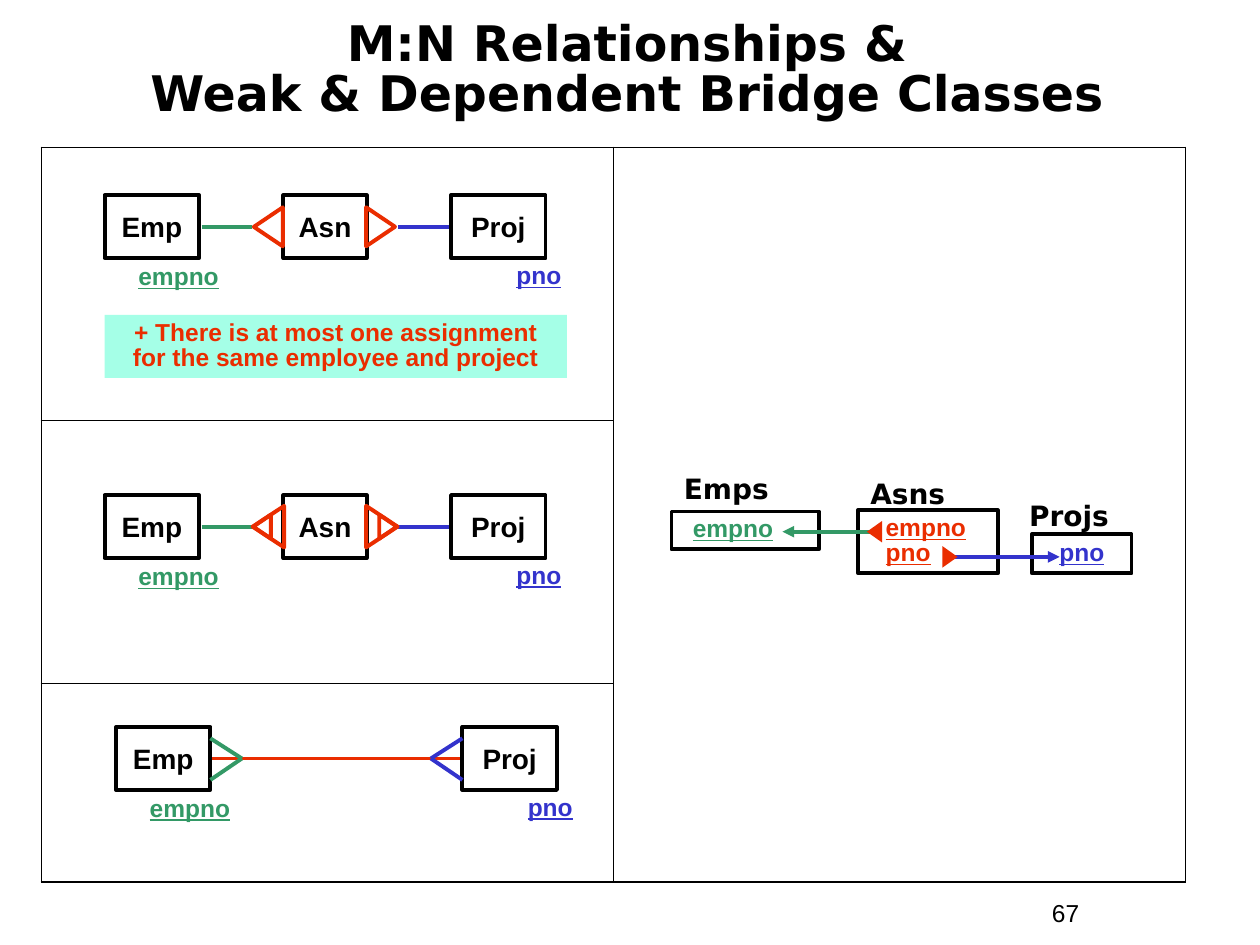
from lxml import etree
from pptx import Presentation
from pptx.dml.color import RGBColor
from pptx.enum import shapes, text
from pptx.oxml import ns
from pptx.util import Inches, Pt

THEME = {
    "black": RGBColor.from_string("000000"),
    "red": RGBColor.from_string("EA2D00"),
    "green": RGBColor.from_string("339966"),
    "blue": RGBColor.from_string("3333CC"),
    "mint": RGBColor.from_string("A5FFE7"),
    "title": {"name": "DejaVu Sans", "size": Pt(28), "bold": True},
    "head": {"name": "DejaVu Sans", "size": Pt(16), "bold": True},
    "class": {"name": "Arial", "size": Pt(16), "bold": True},
    "key": {"name": "Arial", "size": Pt(14), "bold": True, "underline": True},
    "note": {"name": "Arial", "size": Pt(14), "bold": True},
    "page": {"name": "Arial", "size": Pt(14)},
    "line": Pt(2.25),
}
CENTER = text.PP_ALIGN.CENTER
MIDDLE = text.MSO_ANCHOR.MIDDLE

deck = Presentation()
deck.slide_width, deck.slide_height = Inches(10), Inches(7.5)
slide = deck.slides.add_slide(deck.slide_layouts[6])


def box(area, words, style, color="black", frame=False, fill=None,
        align=None, anchor=text.MSO_ANCHOR.TOP, space=None, indent=0, wrap=True):
    """Text in a plain, framed or filled box; one paragraph per item of words."""
    place = [Inches(n) for n in area]
    if frame or fill:
        item = slide.shapes.add_shape(shapes.MSO_SHAPE.RECTANGLE, *place)
        item.shadow.inherit = False
        item.fill.background()
        item.line.fill.background()
    else:
        item = slide.shapes.add_textbox(*place)
    if fill:
        item.fill.solid()
        item.fill.fore_color.rgb = THEME[fill]
    if frame:
        item.line.color.rgb = THEME["black"]
        item.line.width = THEME["line"]
    body = item.text_frame
    body.word_wrap, body.vertical_anchor = wrap, anchor
    for i, word in enumerate(words):
        para = body.add_paragraph() if i else body.paragraphs[0]
        para.text = word
        para.alignment = align or text.PP_ALIGN.LEFT
        para.line_spacing = space
        if indent:
            props = para._p.get_or_add_pPr()
            props.set("marL", str(Inches(indent)))
            props.set("indent", "0")
        for run in para.runs:
            for name, value in THEME[style].items():
                setattr(run.font, name, value)
            run.font.color.rgb = THEME[color]


def link(x1, y1, x2, y2, color, arrow=False):
    """Straight line, with an optional arrowhead at its end."""
    item = slide.shapes.add_connector(
        shapes.MSO_CONNECTOR.STRAIGHT, *[Inches(n) for n in (x1, y1, x2, y2)])
    item.line.color.rgb = THEME[color]
    item.line.width = THEME["line"]
    if arrow:
        etree.SubElement(item.line._get_or_add_ln(), ns.qn("a:tailEnd"),
                         type="triangle")
    etree.SubElement(item._element.spPr, ns.qn("a:effectLst"))


# Page number and title
box((8.25, 7.08, 0.92, 0.34), ["67"], "page")
box((0.29, 0.11, 9.37, 0.92),
    ["M:N Relationships &\nWeak & Dependent Bridge Classes"],
    "title", align=CENTER, anchor=MIDDLE, space=0.85)

# Grid of three diagrams beside the tables
table = slide.shapes.add_table(
    3, 2, Inches(0.33), Inches(1.17), Inches(9.08), Inches(5.83)).table
for flag in ("first_row", "horz_banding"):
    setattr(table, flag, False)
for col in table.columns:
    col.width = Inches(4.54)
for row, high in zip(table.rows, (2.17, 2.08, 1.58)):
    row.height = Inches(high)
table.cell(0, 1).merge(table.cell(2, 1))
for r in range(3):
    for c in range(2):
        cell = table.cell(r, c)
        props = cell._tc.get_or_add_tcPr()
        outer = {"L": c == 0, "R": c == 1, "T": r == 0, "B": r == 2 or c == 1}
        for side, thick in outer.items():
            edge = etree.SubElement(props, ns.qn(f"a:ln{side}"),
                                    w=str(Pt(1.08 if thick else 0.45)))
            paint = etree.SubElement(edge, ns.qn("a:solidFill"))
            etree.SubElement(paint, ns.qn("a:srgbClr"), val=str(THEME["black"]))
        cell.fill.background()

# Class diagrams: left edge, top, left edge of Proj, bridge
for left, top, right, bridge in ((0.83, 1.55, 3.58, True),
                                 (0.83, 3.93, 3.58, True),
                                 (0.92, 5.77, 3.67, False)):
    mid = top + 0.25
    nodes = [("Emp", left, 0.75), ("Proj", right, 0.75)]
    if bridge:
        nodes.append(("Asn", 2.25, 0.66))
        link(1.6, mid, 2, mid, "green")
        link(3.57, mid, 3.16, mid, "blue")
    else:
        link(1.68, mid, 3.65, mid, "red")
    for name, x, wide in nodes:
        box((x, top, wide, 0.5), [name], "class", frame=True,
            align=CENTER, anchor=MIDDLE, wrap=False)
    box((left + 0.17, top + 0.5, 1.17, 0.31), ["empno"], "key", "green", space=0.9)
    box((right + 0.42, top + 0.49, 0.75, 0.31), ["pno"], "key", "blue", space=0.9)

# Crow's feet of the direct relationship
for tip, base, color in ((3.42, 3.67, "blue"), (1.92, 1.67, "green")):
    for y in (5.86, 6.19):
        link(tip, 6.02, base, y, color)

# Uniqueness note
box((0.83, 2.5, 3.67, 0.5),
    ["+ There is at most one assignment for the same employee and project"],
    "note", "red", fill="mint", align=CENTER, space=0.85)

# Tables with their keys
for name, spot, area, keys, color, indent, space in (
        ("Asns", (6.81, 3.73, 1.44, 0.37), (6.81, 4.05, 1.11, 0.5),
         ["empno", "pno"], "red", 0.12, 0.85),
        ("Projs", (8.07, 3.91, 1.15, 0.37), (8.19, 4.24, 0.79, 0.31),
         ["pno"], "blue", 0.12, 0.9),
        ("Emps", (5.33, 3.69, 0.92, 0.37), (5.33, 4.06, 1.17, 0.3),
         ["empno"], "green", 0.07, 0.85)):
    box(spot, [name], "head")
    box(area, keys, "key", color, frame=True, indent=indent, space=space)

# Foreign key arrows
link(7, 4.22, 6.21, 4.22, "green", arrow=True)
link(7.53, 4.42, 8.41, 4.42, "blue", arrow=True)

# Triangles: centre, base, height, turn, solid
for x, y, base, high, turn, solid in (
        (2.13, 1.8, 0.31, 0.23, 270, False),
        (3.02, 1.8, 0.31, 0.23, 90, False),
        (2.13, 4.18, 0.33, 0.25, 270, False),
        (2.08, 4.18, 0.19, 0.14, 270, False),
        (3.03, 4.18, 0.33, 0.25, 90, False),
        (3.08, 4.18, 0.19, 0.14, 90, False),
        (6.94, 4.22, 0.17, 0.12, 270, True),
        (7.54, 4.42, 0.17, 0.12, 90, True)):
    tri = slide.shapes.add_shape(
        shapes.MSO_SHAPE.ISOSCELES_TRIANGLE, Inches(x - base / 2),
        Inches(y - high / 2), Inches(base), Inches(high))
    tri.shadow.inherit = False
    tri.rotation = turn
    if solid:
        tri.fill.solid()
        tri.fill.fore_color.rgb = THEME["red"]
        tri.line.fill.background()
    else:
        tri.fill.background()
        tri.line.color.rgb = THEME["red"]
        tri.line.width = THEME["line"]

deck.save("out.pptx")
